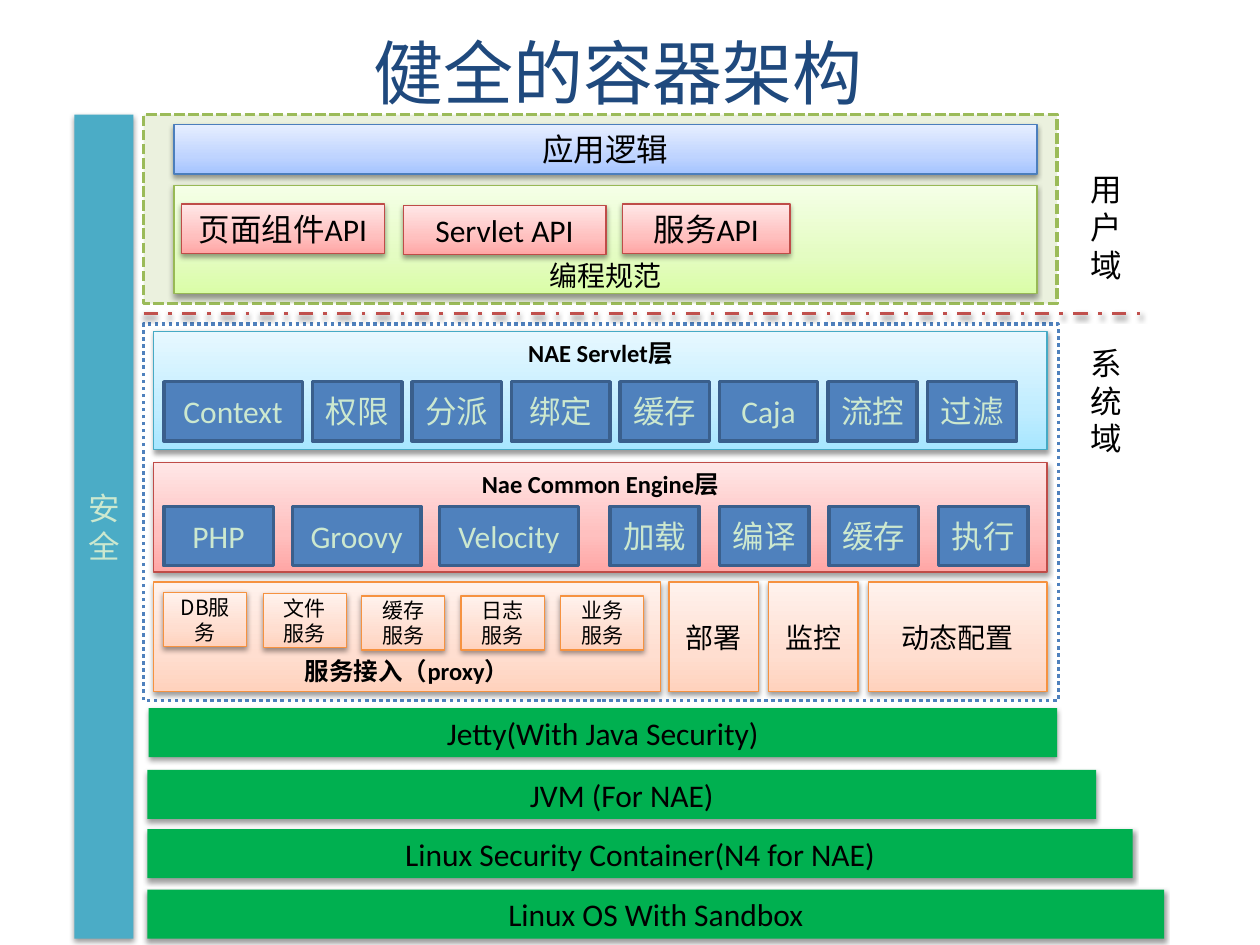
"""Build the container architecture slide with its user and system domains."""
from copy import deepcopy

from lxml.etree import SubElement
from pptx import Presentation
from pptx.dml.color import RGBColor
from pptx.enum.dml import MSO_LINE
from pptx.enum.shapes import MSO_CONNECTOR, MSO_SHAPE
from pptx.enum.text import MSO_ANCHOR, PP_ALIGN
from pptx.oxml.ns import qn
from pptx.util import Inches, Pt

BLACK = RGBColor(0x00, 0x00, 0x00)
WHITE = RGBColor(0xFF, 0xFF, 0xFF)
PALE_GREEN = RGBColor(0xCC, 0xE8, 0xCF)
NAVY = RGBColor(0x1F, 0x49, 0x7D)
GREEN = RGBColor(0x00, 0xB0, 0x50)
TEAL = RGBColor(0x4B, 0xAC, 0xC6)
BLUE = RGBColor(0x4F, 0x81, 0xBD)
DARK_BLUE = RGBColor(0x3A, 0x5F, 0x8C)
OLIVE = RGBColor(0x9B, 0xBB, 0x59)
PALE_OLIVE = RGBColor(0xEB, 0xF1, 0xDE)
RED = RGBColor(0xC0, 0x50, 0x4D)

LIME_SHADES = [RGBColor(0xDA, 0xFD, 0xA7), RGBColor(0xE4, 0xFC, 0xC2), RGBColor(0xF5, 0xFF, 0xE7)]
PEACH_SHADES = [RGBColor(0xFF, 0xD2, 0xBD), RGBColor(0xFF, 0xDE, 0xD0), RGBColor(0xFF, 0xF2, 0xED)]
PINK_SHADES = [RGBColor(0xFF, 0xA6, 0xA5), RGBColor(0xFF, 0xC0, 0xBF), RGBColor(0xFF, 0xE7, 0xE7)]
AQUA_SHADES = [RGBColor(0xA7, 0xE6, 0xFF), RGBColor(0xC1, 0xED, 0xFF), RGBColor(0xE7, 0xF8, 0xFF)]
SKY_SHADES = [RGBColor(0xA4, 0xC4, 0xFF), RGBColor(0xBF, 0xD4, 0xFF), RGBColor(0xE6, 0xEE, 0xFF)]
LIME = (LIME_SHADES, RGBColor(0x98, 0xB9, 0x55), 0.75)
PEACH = (PEACH_SHADES, RGBColor(0xF6, 0x92, 0x40), 0.75)
PINK = (PINK_SHADES, RGBColor(0xBF, 0x4C, 0x48), 0.75)
AQUA = (AQUA_SHADES, RGBColor(0x46, 0xAA, 0xC5), 0.75)
SKY = (SKY_SHADES, RGBColor(0x4B, 0x7E, 0xBC), 0.75)
MODULE = (BLUE, DARK_BLUE, 2)
PLATFORM = (GREEN, None, 0)

LATIN = "Calibri"
CJK = "Noto Sans CJK SC"

prs = Presentation()
prs.slide_width, prs.slide_height = Inches(10), Inches(7.5)
slide = prs.slides.add_slide(prs.slide_layouts[5])
slide.background.fill.solid()
slide.background.fill.fore_color.rgb = WHITE


def write(shape, text, size, font=LATIN, color=BLACK, bold=False,
          anchor=MSO_ANCHOR.MIDDLE, align=PP_ALIGN.CENTER):
    frame = shape.text_frame
    frame.text = text
    frame.word_wrap = True
    frame.vertical_anchor = anchor
    frame.paragraphs[0].alignment = align
    run = frame.paragraphs[0].runs[0]
    run.font.size, run.font.name, run.font.bold = Pt(size), font, bold
    run.font.color.rgb = color
    SubElement(run.font._element, qn("a:ea"), typeface=CJK)


def style(shape, look, shadow=True):
    fill, outline, weight = look
    if isinstance(fill, list):
        shape.fill.gradient()
        shape.fill.gradient_angle = 90
        stops = shape._element.spPr.find(".//" + qn("a:gsLst"))
        stops.insert(1, deepcopy(stops[0]))
        for stop, shade, position in zip(shape.fill.gradient_stops, fill, (0, 0.35, 1)):
            stop.color.rgb, stop.position = shade, position
    elif fill is not None:
        shape.fill.solid()
        shape.fill.fore_color.rgb = fill
    if outline is None:
        shape.line.fill.background()
    else:
        shape.line.color.rgb = outline
        shape.line.width = Pt(weight)
    effects = SubElement(shape._element.spPr, qn("a:effectLst"))
    if shadow:
        outer = SubElement(effects, qn("a:outerShdw"), blurRad=str(Pt(3.1)),
                           dist=str(Pt(1.6)), dir="5400000", rotWithShape="0")
        tone = SubElement(outer, qn("a:srgbClr"), val="000000")
        SubElement(tone, qn("a:alpha"), val="38000")


title = slide.shapes.title
title.left, title.top, title.width, title.height = (Inches(v) for v in (1.25, 0.21, 7.31, 0.71))
write(title, "健全的容器架构", 40, color=NAVY)

for domain, top, height in [("用户域", 1.3, 1.27), ("系统域", 2.68, 1.01)]:
    label = slide.shapes.add_textbox(Inches(8.56), Inches(top), Inches(0.54), Inches(height))
    write(label, domain, 18, CJK, anchor=MSO_ANCHOR.TOP, align=PP_ALIGN.LEFT)

for top, width, height, look, dash in [
    (0.91, 7.25, 1.5, (PALE_OLIVE, OLIVE, 2), MSO_LINE.SQUARE_DOT),
    (2.57, 7.26, 2.99, (WHITE, BLUE, 2), MSO_LINE.ROUND_DOT),
]:
    domain_frame = slide.shapes.add_shape(
        MSO_SHAPE.RECTANGLE, Inches(1.14), Inches(top), Inches(width), Inches(height))
    style(domain_frame, look, shadow=False)
    domain_frame.line.dash_style = dash

divider = slide.shapes.add_connector(
    MSO_CONNECTOR.STRAIGHT, Inches(1.14), Inches(2.49), Inches(9.1), Inches(2.49))
style(divider, (None, RED, 2))
divider.line.dash_style = MSO_LINE.DASH_DOT

TOP, MIDDLE, BOTTOM = MSO_ANCHOR.TOP, MSO_ANCHOR.MIDDLE, MSO_ANCHOR.BOTTOM
blocks = [
    ("安全", 0.59, 0.91, 0.47, 6.54, (TEAL, None, 0), 18, LATIN, PALE_GREEN, False, MIDDLE),
    ("应用逻辑", 1.38, 0.99, 6.85, 0.39, SKY, 18, CJK, BLACK, False, MIDDLE),
    ("编程规范", 1.38, 1.47, 6.85, 0.86, LIME, 16, CJK, BLACK, False, BOTTOM),
    ("NAE Servlet层", 1.22, 2.63, 7.09, 0.94, AQUA, 14, LATIN, BLACK, True, TOP),
    ("Nae Common Engine层", 1.22, 3.67, 7.09, 0.87, PINK, 14, LATIN, BLACK, True, TOP),
    ("服务接入（proxy）", 1.22, 4.62, 4.02, 0.87, PEACH, 14, LATIN, BLACK, True, BOTTOM),
]
for text, left, top, width in [
    ("页面组件API", 1.44, 1.62, 1.61),
    ("Servlet API", 3.2, 1.63, 1.61),
    ("服务API", 4.94, 1.62, 1.33),
    ("Jetty(With Java Security)", 1.18, 5.62, 7.21),
    ("JVM (For NAE)", 1.17, 6.11, 7.53),
    ("Linux Security Container(N4 for NAE)", 1.17, 6.58, 7.82),
    ("Linux OS With Sandbox", 1.17, 7.06, 8.07),
]:
    look = PINK if top < 2 else PLATFORM
    blocks.append((text, left, top, width, 0.39, look, 18, LATIN, BLACK, False, MIDDLE))

for left, top, height, gap, look, size, font, color, items in [
    (1.3, 3.03, 0.47, 0.08, MODULE, 18, LATIN, PALE_GREEN,
     [("Context", 1.1), ("权限", 0.71), ("分派", 0.71), ("绑定", 0.78),
      ("缓存", 0.71), ("Caja", 0.78), ("流控", 0.71), ("过滤", 0.71)]),
    (1.3, 4.02, 0.47, 0.15, MODULE, 18, LATIN, PALE_GREEN,
     [("PHP", 0.87), ("Groovy", 1.02), ("Velocity", 1.1)]),
    (4.84, 4.02, 0.47, 0.16, MODULE, 18, LATIN, PALE_GREEN,
     [("加载", 0.71), ("编译", 0.71), ("缓存", 0.71), ("执行", 0.71)]),
    (1.3, 4.7, 0.43, 0.13, PEACH, 12, CJK, BLACK, [("DB服务", 0.66)]),
    (2.09, 4.71, 0.43, 0.13, PEACH, 12, CJK, BLACK, [("文件服务", 0.66)]),
    (2.87, 4.73, 0.43, 0.13, PEACH, 12, CJK, BLACK,
     [("缓存服务", 0.66), ("日志服务", 0.66), ("业务服务", 0.66)]),
    (5.31, 4.62, 0.87, 0.08, PEACH, 16, CJK, BLACK,
     [("部署", 0.71), ("监控", 0.71), ("动态配置", 1.42)]),
]:
    for text, width in items:
        blocks.append((text, left, top, width, height, look, size, font, color, False, MIDDLE))
        left += width + gap

for text, left, top, width, height, look, size, font, color, bold, anchor in blocks:
    block = slide.shapes.add_shape(
        MSO_SHAPE.RECTANGLE, Inches(left), Inches(top), Inches(width), Inches(height))
    style(block, look, shadow=look is not MODULE)
    write(block, text, size, font, color, bold, anchor)
    if look is LIME:
        block.text_frame.margin_top = block.text_frame.margin_bottom = Inches(0.01)

prs.save("out.pptx")
